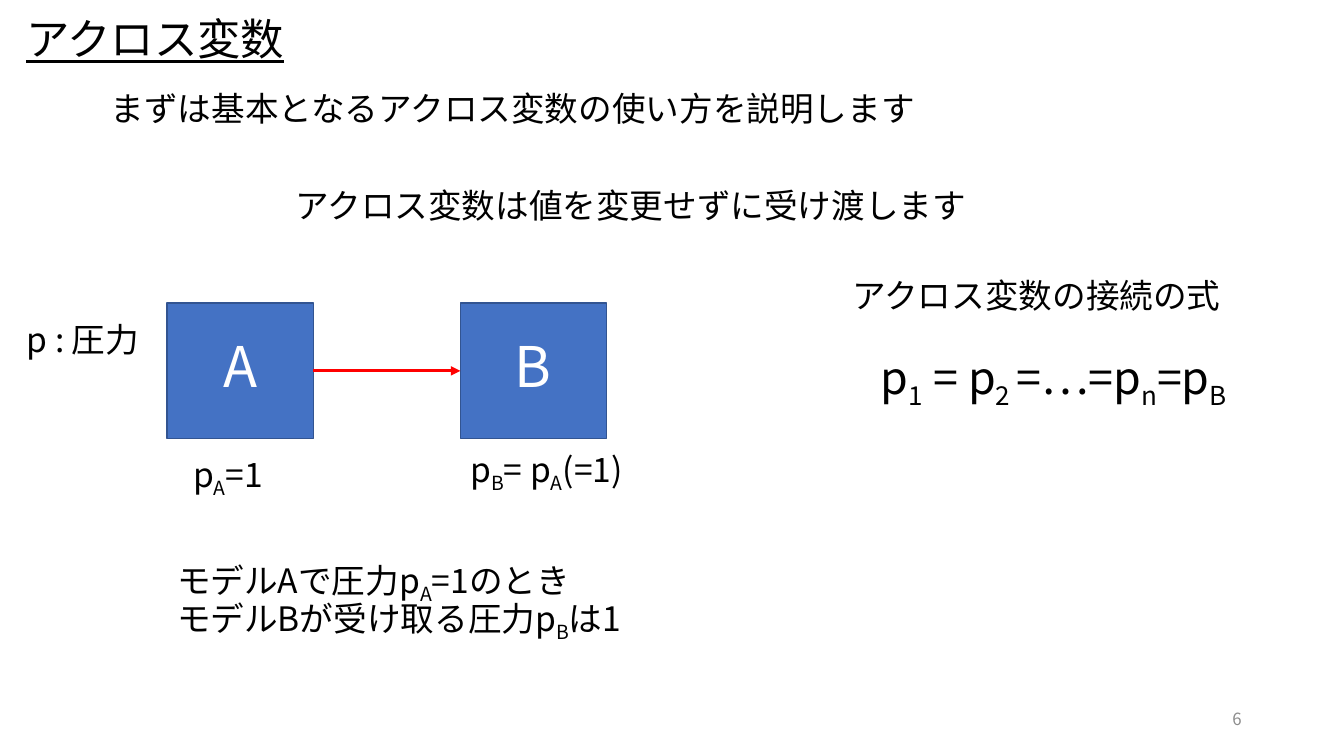
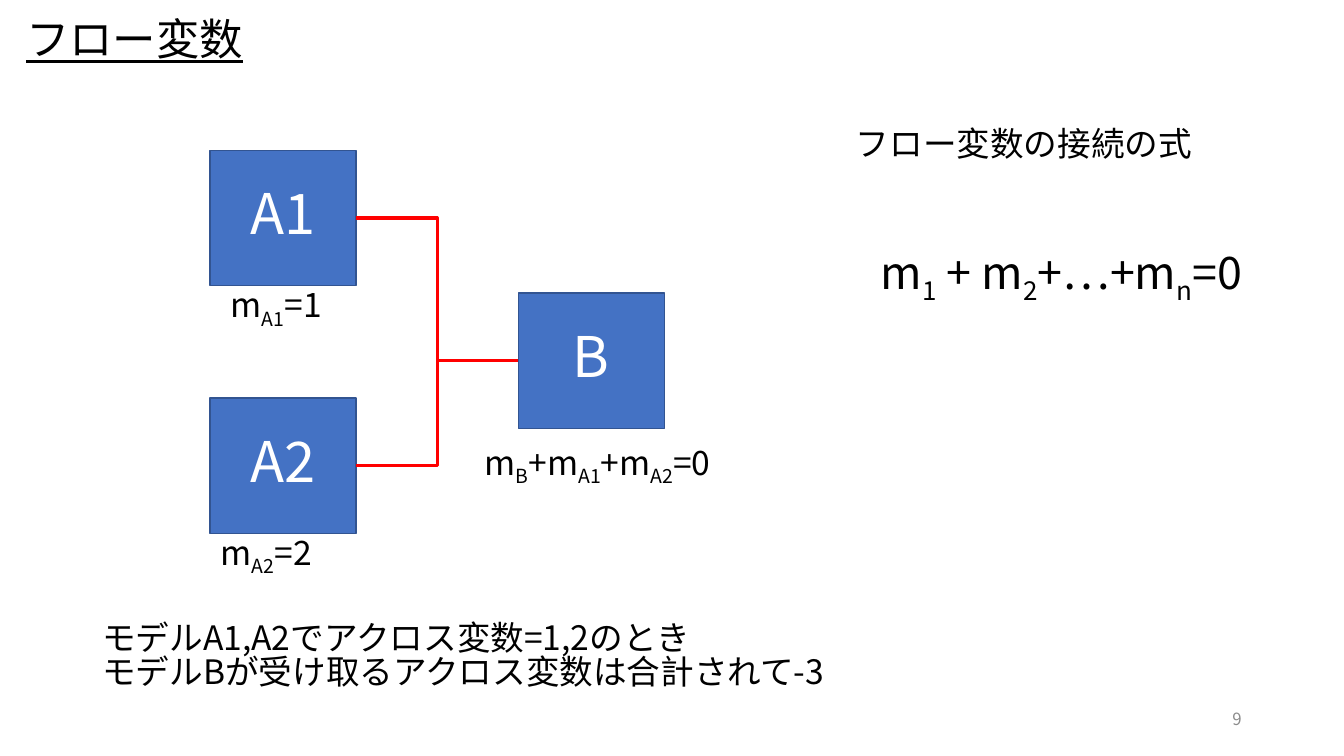
from dataclasses import dataclass

from lxml import etree
from pptx import Presentation
from pptx import util as u
from pptx.dml.color import RGBColor
from pptx.enum import shapes, text
from pptx.oxml.ns import qn


@dataclass(frozen=True)
class Theme:
    font: str = "Noto Sans CJK JP"
    ink: str = "000000"
    muted: str = "8C8C8C"
    block_fill: str = "4472C4"
    block_line: str = "325491"
    block_ink: str = "FFFFFF"
    link: str = "FF0000"
    title_size: int = 31
    body_size: int = 24
    equation_size: int = 32
    block_size: int = 40
    number_size: int = 12
    line_spacing: float = 0.83


THEME = Theme()

# Grid of 16 columns by 9 rows; every length below is in cells
COLUMNS, ROWS = 16, 9
WIDTH, HEIGHT = u.Inches(13.33), u.Inches(7.5)
BLOCK_W, BLOCK_H = 1.74, 1.61
LINE_H, NOTE_H, EQUATION_H = 0.6, 1.09, 0.77


@dataclass(frozen=True)
class Label:
    """Text on the grid; every second part between bars is a subscript."""
    lines: tuple[str, ...]
    col: float
    row: float
    cols: float
    rows: float = LINE_H
    size: int = THEME.body_size


@dataclass(frozen=True)
class Block:
    name: str
    col: float
    row: float


@dataclass(frozen=True)
class Link:
    start: str
    end: str
    bent: bool = False
    arrow: bool = False


@dataclass(frozen=True)
class Page:
    title: str
    title_cols: float
    number: int
    blocks: tuple[Block, ...]
    links: tuple[Link, ...]
    labels: tuple[Label, ...]


PAGES = (
    Page(
        "アクロス変数", 3.26, 6,
        (Block("A", 1.99, 3.61), Block("B", 5.48, 3.61)),
        (Link("A", "B", arrow=True),),
        (
            Label(("まずは基本となるアクロス変数の使い方を説明します",), 1.2, 1.07, 10.1),
            Label(("アクロス変数は値を変更せずに受け渡します",), 3.4, 2.22, 8.32),
            Label(("p : 圧力",), 0.2, 3.82, 1.63),
            Label(("p|A|=1",), 2.18, 5.38, 1.16),
            Label(("p|B|= p|A|(=1)",), 5.48, 5.32, 2.3),
            Label(("モデルAで圧力p|A|=1のとき", "モデルBが受け取る圧力p|B|は1"),
                  1.99, 6.64, 5.69, NOTE_H),
            Label(("アクロス変数の接続の式",), 10.03, 3.3, 4.68),
            Label(("p|1| = p|2 |=…=p|n|=p|B",), 10.37, 4.15, 4.85,
                  EQUATION_H, THEME.equation_size),
        ),
    ),
    Page(
        "フロー変数", 2.75, 9,
        (Block("A1", 2.5, 1.79), Block("A2", 2.5, 4.74), Block("B", 6.17, 3.49)),
        (Link("A1", "B", bent=True), Link("A2", "B", bent=True)),
        (
            Label(("m|A1|=1",), 2.63, 3.36, 1.43),
            Label(("m|A2|=2",), 2.51, 6.31, 1.43),
            Label(("m|B|+m|A1|+m|A2|=0",), 5.65, 5.24, 3.22),
            Label(("モデルA1,A2でアクロス変数=1,2のとき",
                   "モデルBが受け取るアクロス変数は合計されて-3"), 1.1, 7.37, 9, NOTE_H),
            Label(("フロー変数の接続の式",), 10.07, 1.49, 4.28),
            Label(("m|1| + m|2|+…+m|n|=0",), 10.37, 2.9, 4.94,
                  EQUATION_H, THEME.equation_size),
        ),
    ),
)


def place(col: float, row: float, cols: float, rows: float) -> tuple[int, ...]:
    """Turn grid cells into left, top, width and height."""
    cell_w, cell_h = WIDTH / COLUMNS, HEIGHT / ROWS
    return tuple(round(v) for v in (col * cell_w, row * cell_h, cols * cell_w, rows * cell_h))


def write(frame, lines: tuple[str, ...], size: int, color: str = THEME.ink,
          align=text.PP_ALIGN.LEFT, underline: bool = False) -> None:
    frame.word_wrap = True
    font_format = {"name": THEME.font, "size": u.Pt(size), "underline": underline}
    for index, line in enumerate(lines):
        paragraph = frame.add_paragraph() if index else frame.paragraphs[0]
        paragraph.alignment = align
        paragraph.line_spacing = THEME.line_spacing
        for part_index, part in enumerate(line.split("|")):
            run = paragraph.add_run()
            run.text = part
            for key, value in font_format.items():
                setattr(run.font, key, value)
            run.font.color.rgb = RGBColor.from_string(color)
            properties = run._r.get_or_add_rPr()
            etree.SubElement(properties, qn("a:ea"), typeface=THEME.font)
            if part_index % 2:
                properties.set("baseline", "-25000")


def add_label(slide, label: Label) -> None:
    box = slide.shapes.add_textbox(*place(label.col, label.row, label.cols, label.rows))
    write(box.text_frame, label.lines, label.size)


def add_block(slide, block: Block):
    square = slide.shapes.add_shape(
        shapes.MSO_SHAPE.RECTANGLE, *place(block.col, block.row, BLOCK_W, BLOCK_H))
    square.shadow.inherit = False
    square.fill.solid()
    square.fill.fore_color.rgb = RGBColor.from_string(THEME.block_fill)
    square.line.color.rgb = RGBColor.from_string(THEME.block_line)
    square.line.width = u.Pt(1)
    square.text_frame.vertical_anchor = text.MSO_ANCHOR.MIDDLE
    write(square.text_frame, (block.name,), THEME.block_size, THEME.block_ink,
          text.PP_ALIGN.CENTER)
    return square


def add_link(slide, link: Link, squares: dict) -> None:
    kind = shapes.MSO_CONNECTOR.ELBOW if link.bent else shapes.MSO_CONNECTOR.STRAIGHT
    wire = slide.shapes.add_connector(kind, 0, 0, 0, 0)
    wire.begin_connect(squares[link.start], 3)
    wire.end_connect(squares[link.end], 1)
    wire.line.color.rgb = RGBColor.from_string(THEME.link)
    wire.line.width = u.Pt(2.25)
    if link.arrow:
        etree.SubElement(wire.line._get_or_add_ln(), qn("a:tailEnd"), type="triangle")
    etree.SubElement(wire._element.spPr, qn("a:effectLst"))


def add_frame(slide, page: Page) -> None:
    """Title and page number, alike on every slide."""
    title = slide.shapes.add_textbox(*place(0.24, 0.12, page.title_cols, 0.76)).text_frame
    margin = u.Inches(0.06)
    title_format = {"vertical_anchor": text.MSO_ANCHOR.MIDDLE, "margin_left": margin,
                    "margin_right": margin, "margin_top": margin, "margin_bottom": margin}
    for key, value in title_format.items():
        setattr(title, key, value)
    write(title, (page.title,), THEME.title_size, underline=True)

    number = slide.shapes.add_textbox(*place(11.3, 8.34, 3.6, 0.48)).text_frame
    number.vertical_anchor = text.MSO_ANCHOR.MIDDLE
    write(number, (str(page.number),), THEME.number_size, THEME.muted, text.PP_ALIGN.RIGHT)


def add_page(deck, page: Page) -> None:
    slide = deck.slides.add_slide(deck.slide_layouts[6])
    add_frame(slide, page)
    # Diagram
    squares = {block.name: add_block(slide, block) for block in page.blocks}
    for link in page.links:
        add_link(slide, link, squares)
    # Explanations and equations
    for label in page.labels:
        add_label(slide, label)


def main() -> None:
    deck = Presentation()
    deck.slide_width, deck.slide_height = WIDTH, HEIGHT
    for page in PAGES:
        add_page(deck, page)
    deck.save("out.pptx")


if __name__ == "__main__":
    main()
